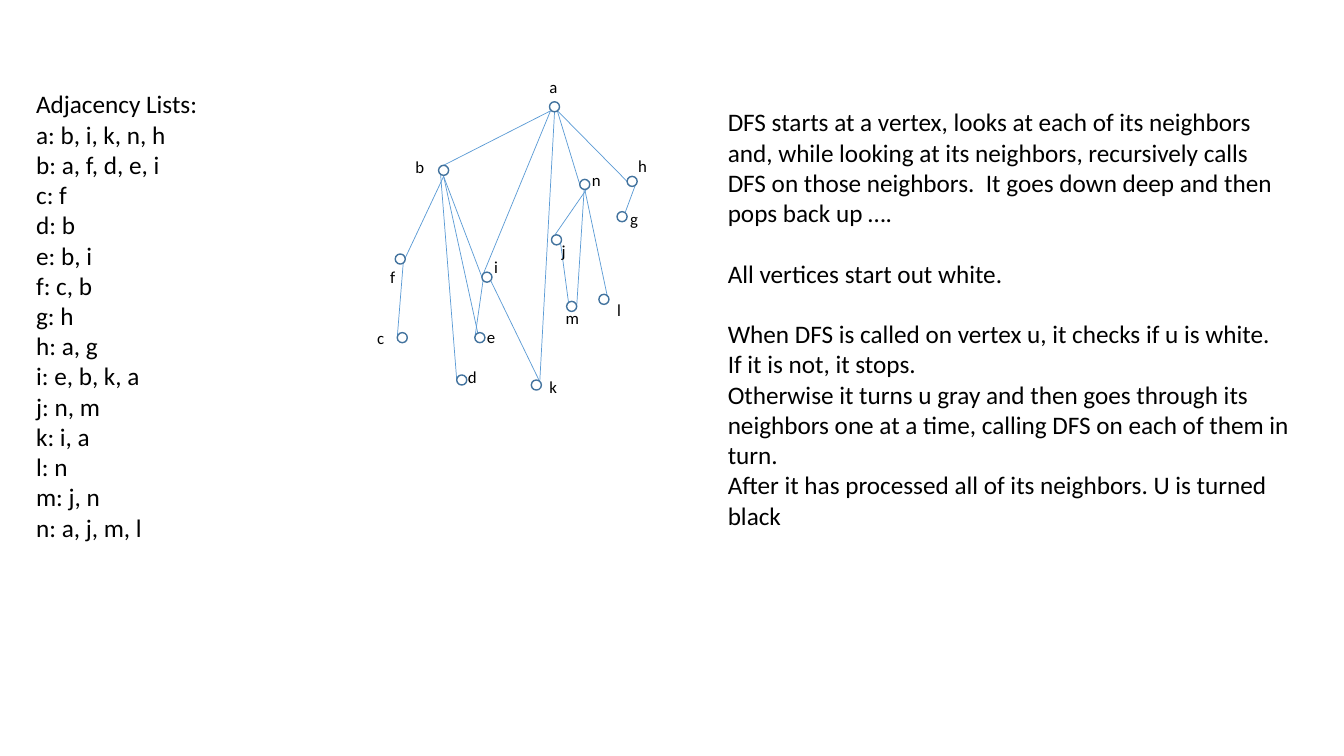
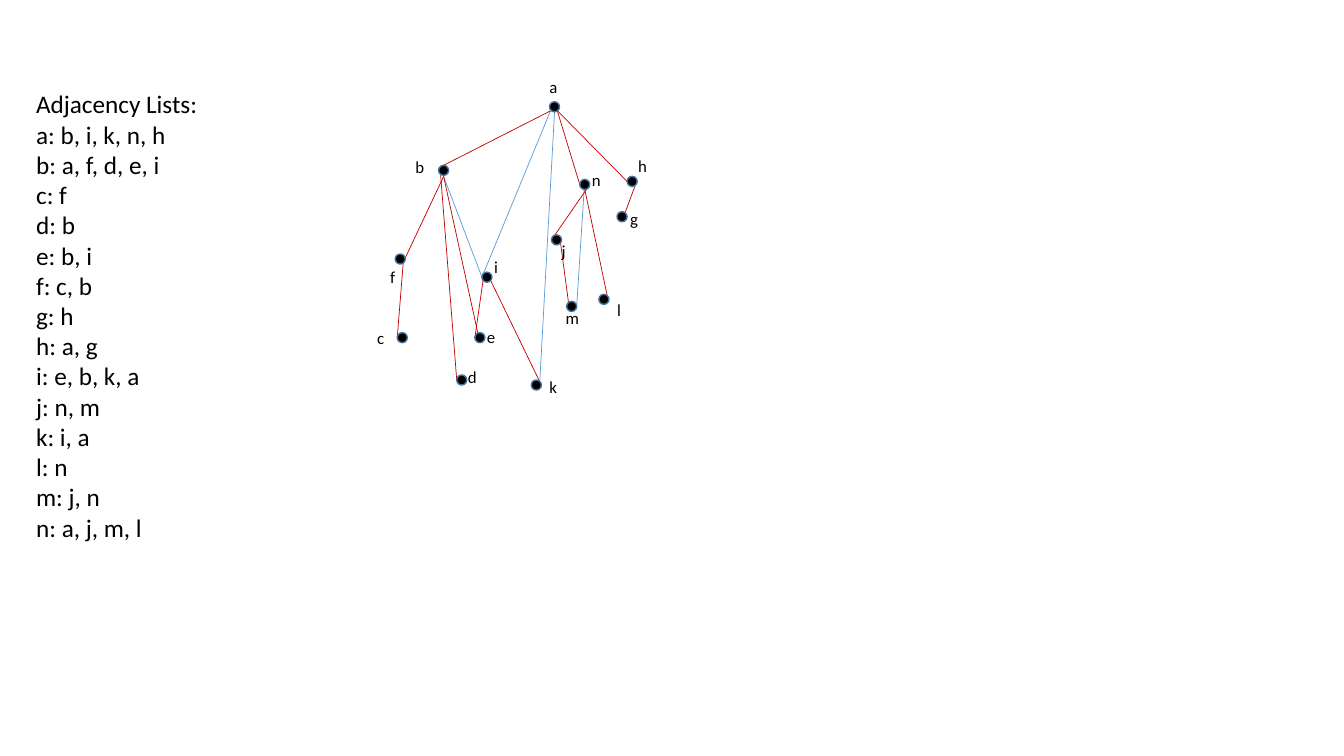
"""Two slides on depth-first search: a white graph, then the finished search tree."""
import pptx
import pptx.dml.color
import pptx.enum.shapes
import pptx.util
import lxml.etree

RGBColor = pptx.dml.color.RGBColor
BLACK = RGBColor(0x00, 0x00, 0x00)
WHITE = RGBColor(0xFF, 0xFF, 0xFF)
EDGE_BLUE = RGBColor(0x5B, 0x9B, 0xD5)
OUTLINE_BLUE = RGBColor(0x43, 0x73, 0x9E)
TREE_RED = RGBColor(0xC0, 0x00, 0x00)

COLS, ROWS = 133.3, 75
A_NS = "http://schemas.openxmlformats.org/drawingml/2006/main"
OVAL = pptx.enum.shapes.MSO_SHAPE.OVAL
STRAIGHT = pptx.enum.shapes.MSO_CONNECTOR.STRAIGHT

ADJACENCY = [
    "Adjacency Lists:",
    "a: b, i, k, n, h",
    "b: a, f, d, e, i",
    "c: f",
    "d: b",
    "e: b, i",
    "f: c, b",
    "g: h",
    "h: a, g",
    "i: e, b, k, a",
    "j: n, m",
    "k: i, a",
    "l: n",
    "m: j, n",
    "n: a, j, m, l",
]

EXPLANATION = [
    "DFS starts at a vertex, looks at each of its neighbors and, while looking at its "
    "neighbors, recursively calls DFS on those neighbors.  It goes down deep and then "
    "pops back up ….",
    "All vertices start out white.",
    "When DFS is called on vertex u, it checks if u is white.",
    "If it is not, it stops.",
    "Otherwise it turns u gray and then goes through its neighbors one at a time, "
    "calling DFS on each of them in turn.",
    "After it has processed all of its neighbors. U is turned black",
]

# name: (vertex column, vertex row, label column, label row)
VERTICES = {
    "a": (54.5, 10.1, 54.5, 7.1),
    "b": (43.5, 16.4, 41.2, 15.1),
    "c": (39.4, 33.0, 37.4, 32.0),
    "d": (45.3, 37.2, 46.4, 35.9),
    "e": (47.1, 33.0, 48.3, 31.9),
    "f": (39.2, 25.2, 38.7, 26.0),
    "g": (61.2, 21.0, 62.5, 20.2),
    "h": (62.2, 17.5, 63.3, 15.0),
    "i": (47.8, 27.0, 49.0, 25.0),
    "j": (54.7, 23.3, 55.7, 23.4),
    "k": (52.7, 37.7, 54.5, 36.9),
    "l": (59.4, 29.2, 61.2, 29.2),
    "m": (56.2, 29.9, 56.1, 30.0),
    "n": (57.5, 17.8, 58.7, 16.3),
}

TREE_EDGES = {
    "ab": (54.6, 11.0, 44.0, 16.4),
    "an": (55.0, 10.1, 57.5, 18.3),
    "ah": (55.3, 11.0, 62.2, 18.0),
    "bf": (44.0, 17.5, 40.0, 26.0),
    "bd": (43.7, 17.3, 45.3, 37.7),
    "be": (44.0, 17.5, 47.6, 34.0),
    "ei": (47.1, 33.5, 48.0, 27.2),
    "fc": (40.0, 26.0, 39.4, 33.5),
    "hg": (63.0, 18.4, 62.0, 21.1),
    "ik": (48.7, 27.9, 53.5, 37.8),
    "jm": (55.5, 23.4, 56.4, 30.1),
    "nj": (58.5, 18.3, 54.7, 23.8),
    "nl": (58.0, 18.8, 60.3, 29.7),
}
OTHER_EDGES = {
    "ai": (54.6, 11.0, 47.8, 27.5),
    "ak": (55.0, 11.1, 53.5, 38.5),
    "bi": (44.0, 17.5, 47.8, 27.5),
    "nm": (58.0, 17.8, 57.2, 30.4),
}

prs = pptx.Presentation()
prs.slide_width = pptx.util.Inches(13.33)
prs.slide_height = pptx.util.Inches(7.5)


def grid(*cells):
    """Turn alternating columns and rows into lengths on the slide."""
    units = (prs.slide_width / COLS, prs.slide_height / ROWS)
    return [round(n * units[i % 2]) for i, n in enumerate(cells)]


def add_text(s, box, lines, size, inset, gaps=()):
    """Add a wrapped text box, with a line of space before the paragraphs in gaps."""
    tf = s.shapes.add_textbox(*grid(*box)).text_frame
    frame_format = {"word_wrap": True, "margin_left": inset, "margin_right": inset}
    for name, value in frame_format.items():
        setattr(tf, name, value)
    for i, line in enumerate(lines):
        p = tf.paragraphs[0] if i == 0 else tf.add_paragraph()
        if i in gaps:
            p.space_before = pptx.util.Pt(size * 1.2)
        r = p.add_run()
        r.text = line
        for name, value in {"name": "Calibri", "size": pptx.util.Pt(size)}.items():
            setattr(r.font, name, value)
        r.font.color.rgb = BLACK


SIDE_INSET = pptx.util.Inches(0.1)
for vertex_fill, tree_color in ((WHITE, EDGE_BLUE), (BLACK, TREE_RED)):
    s = prs.slides.add_slide(prs.slide_layouts[6])

    for edges, color in ((OTHER_EDGES, EDGE_BLUE), (TREE_EDGES, tree_color)):
        for ends in edges.values():
            edge = s.shapes.add_connector(STRAIGHT, *grid(*ends))
            edge.line.color.rgb = color
            edge.line.width = pptx.util.Pt(0.5)
            sp_pr = edge._element.spPr
            lxml.etree.SubElement(sp_pr, f"{{{A_NS}}}effectLst")

    for name, (col, row, label_col, label_row) in VERTICES.items():
        sp = s.shapes.add_shape(OVAL, *grid(col, row, 1, 1))
        sp.shadow.inherit = False
        sp.fill.solid()
        sp.fill.fore_color.rgb = vertex_fill
        sp.line.color.rgb = OUTLINE_BLUE
        sp.line.width = pptx.util.Pt(1)
        add_text(s, (label_col, label_row, 2, 3), [name], 12, 0)

    add_text(s, (2.6, 8.3, 24.5, 49.5), ADJACENCY, 18, SIDE_INSET)

add_text(prs.slides[0], (71.2, 10.1, 57.7, 43.4), EXPLANATION, 18, SIDE_INSET, gaps=(1, 2))

prs.save("out.pptx")
